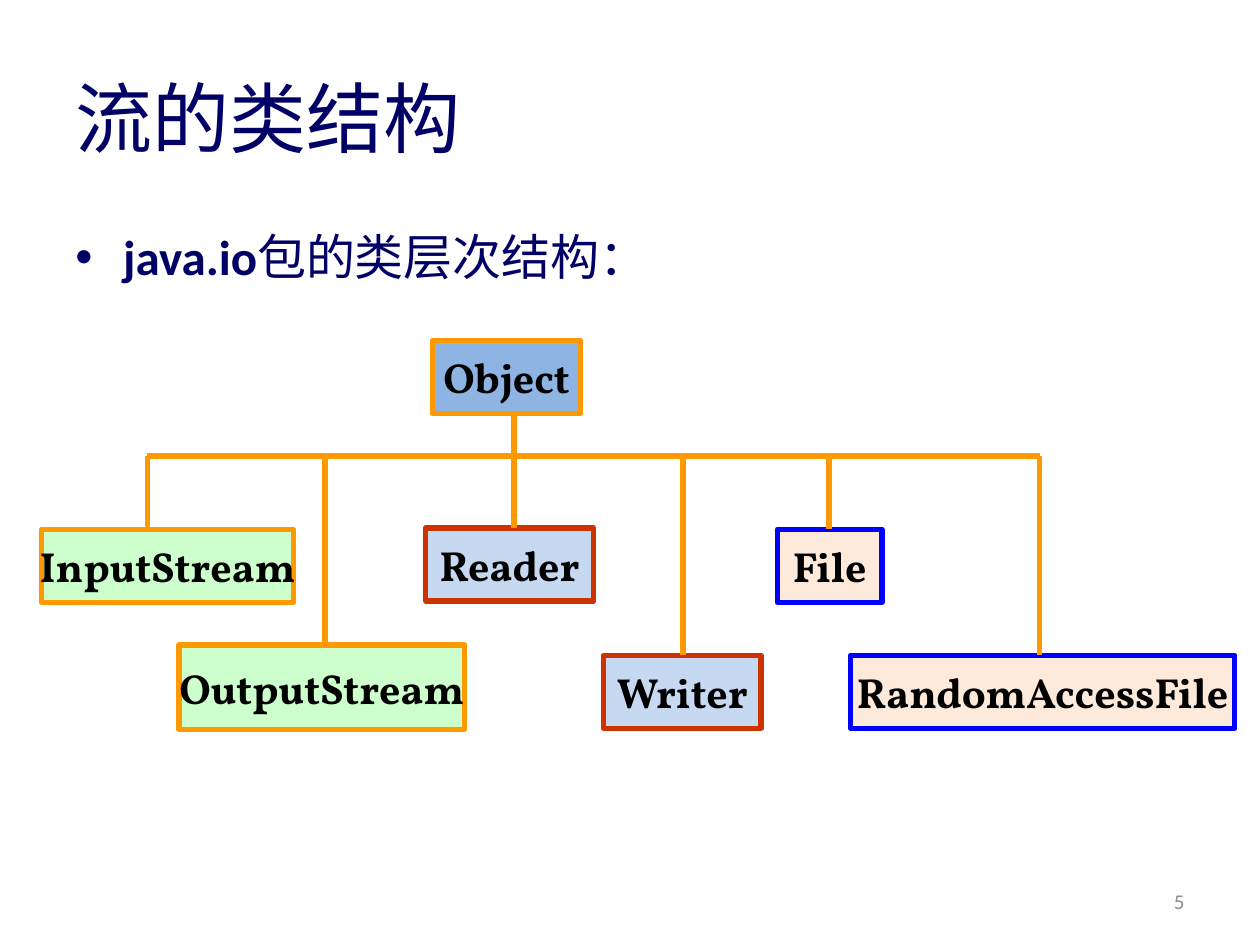
from dataclasses import dataclass

from lxml.etree import SubElement
from pptx import Presentation
from pptx.dml.color import RGBColor
from pptx.enum.shapes import MSO_CONNECTOR, MSO_SHAPE
from pptx.enum.text import MSO_ANCHOR, PP_ALIGN
from pptx.oxml.ns import qn
from pptx.util import Inches, Pt

COLORS = {
    "navy": "000066",
    "gray": "8C8C8C",
    "black": "000000",
    "orange": "FF9900",
    "red": "CC3300",
    "blue": "0000FF",
    "root": "8EB4E3",
    "byte": "CCFFCC",
    "character": "C6D9F1",
    "file": "FDEADA",
}
BUS_TOP = 3.62
ROOT_STEM = 4.08


@dataclass
class ClassBox:
    name: str
    left: float
    top: float
    width: float
    fill: str
    border: str
    stem: float
    height: float = 0.58


ROOT = ClassBox("Object", 3.43, 2.7, 1.18, "root", "orange", ROOT_STEM)
SUBCLASSES = [
    ClassBox("InputStream", 0.33, 4.2, 2, "byte", "orange", 1.17),
    ClassBox("OutputStream", 1.42, 5.12, 2.27, "byte", "orange", 2.58, 0.67),
    ClassBox("Reader", 3.38, 4.19, 1.33, "character", "red", ROOT_STEM),
    ClassBox("Writer", 4.79, 5.2, 1.25, "character", "red", 5.42),
    ClassBox("File", 6.17, 4.2, 0.83, "file", "blue", 6.58),
    ClassBox("RandomAccessFile", 6.75, 5.2, 3.05, "file", "blue", 8.25),
]


def color(name: str) -> RGBColor:
    return RGBColor.from_string(COLORS[name])


def set_font(font, typeface: str, size: float, color_name: str) -> None:
    font.name = typeface
    font.size = Pt(size)
    font.color.rgb = color(color_name)


def add_class_box(slide, box: ClassBox) -> None:
    shape = slide.shapes.add_shape(
        MSO_SHAPE.RECTANGLE,
        Inches(box.left), Inches(box.top), Inches(box.width), Inches(box.height),
    )
    shape.shadow.inherit = False
    shape.fill.solid()
    shape.fill.fore_color.rgb = color(box.fill)
    shape.line.color.rgb = color(box.border)
    shape.line.width = Pt(3)
    frame = shape.text_frame
    frame.word_wrap = False
    frame.vertical_anchor = MSO_ANCHOR.MIDDLE
    paragraph = frame.paragraphs[0]
    paragraph.text = box.name
    paragraph.alignment = PP_ALIGN.CENTER
    set_font(paragraph.font, "Vollkorn", 24, "black")
    paragraph.font.bold = True


def add_line(slide, x1: float, y1: float, x2: float, y2: float) -> None:
    connector = slide.shapes.add_connector(
        MSO_CONNECTOR.STRAIGHT, Inches(x1), Inches(y1), Inches(x2), Inches(y2)
    )
    connector.line.color.rgb = color("orange")
    connector.line.width = Pt(3)
    SubElement(connector._element.spPr, qn("a:effectLst"))


def add_title(slide, text: str) -> None:
    title = slide.shapes.title
    title.left, title.top = Inches(0.5), Inches(0.3)
    title.width, title.height = Inches(9), Inches(1.25)
    title.text_frame.vertical_anchor = MSO_ANCHOR.MIDDLE
    paragraph = title.text_frame.paragraphs[0]
    paragraph.text = text
    paragraph.alignment = PP_ALIGN.LEFT
    set_font(paragraph.font, "Calibri", 44, "navy")


def add_text_box(slide, left: float, top: float, width: float, height: float):
    shape = slide.shapes.add_textbox(
        Inches(left), Inches(top), Inches(width), Inches(height)
    )
    shape.text_frame.word_wrap = True
    return shape.text_frame


def add_bullet(slide, bold_text: str, plain_text: str) -> None:
    paragraph = add_text_box(slide, 0.5, 1.75, 9, 4.95).paragraphs[0]
    set_font(paragraph.font, "Calibri", 28, "navy")
    paragraph.space_before = Pt(6)
    for text, bold in ((bold_text, True), (plain_text, False)):
        run = paragraph.add_run()
        run.text = text
        run.font.bold = bold
    properties = paragraph._p.get_or_add_pPr()
    properties.set("marL", str(Inches(0.38)))
    properties.set("indent", str(-Inches(0.38)))
    bullet_font = properties.makeelement(qn("a:buFont"), {"typeface": "Arial"})
    bullet = properties.makeelement(qn("a:buChar"), {"char": "•"})
    defaults = properties.find(qn("a:defRPr"))
    defaults.addprevious(bullet_font)
    defaults.addprevious(bullet)


def add_slide_number(slide, number: str) -> None:
    frame = add_text_box(slide, 7.17, 6.95, 2.33, 0.4)
    frame.vertical_anchor = MSO_ANCHOR.MIDDLE
    paragraph = frame.paragraphs[0]
    paragraph.text = number
    paragraph.alignment = PP_ALIGN.RIGHT
    set_font(paragraph.font, "Calibri", 12, "gray")


def add_hierarchy(slide) -> None:
    for box in [ROOT, *SUBCLASSES]:
        add_class_box(slide, box)
    add_line(slide, ROOT_STEM, ROOT.top + ROOT.height, ROOT_STEM, BUS_TOP)
    add_line(slide, SUBCLASSES[0].stem, BUS_TOP, SUBCLASSES[-1].stem, BUS_TOP)
    for box in SUBCLASSES:
        add_line(slide, box.stem, BUS_TOP, box.stem, box.top)


def main() -> None:
    presentation = Presentation()
    presentation.slide_width = Inches(10)
    presentation.slide_height = Inches(7.5)
    slide = presentation.slides.add_slide(presentation.slide_layouts[5])
    add_title(slide, "流的类结构")
    add_bullet(slide, "java.io", "包的类层次结构：")
    add_slide_number(slide, "5")
    add_hierarchy(slide)
    presentation.save("out.pptx")


if __name__ == "__main__":
    main()
